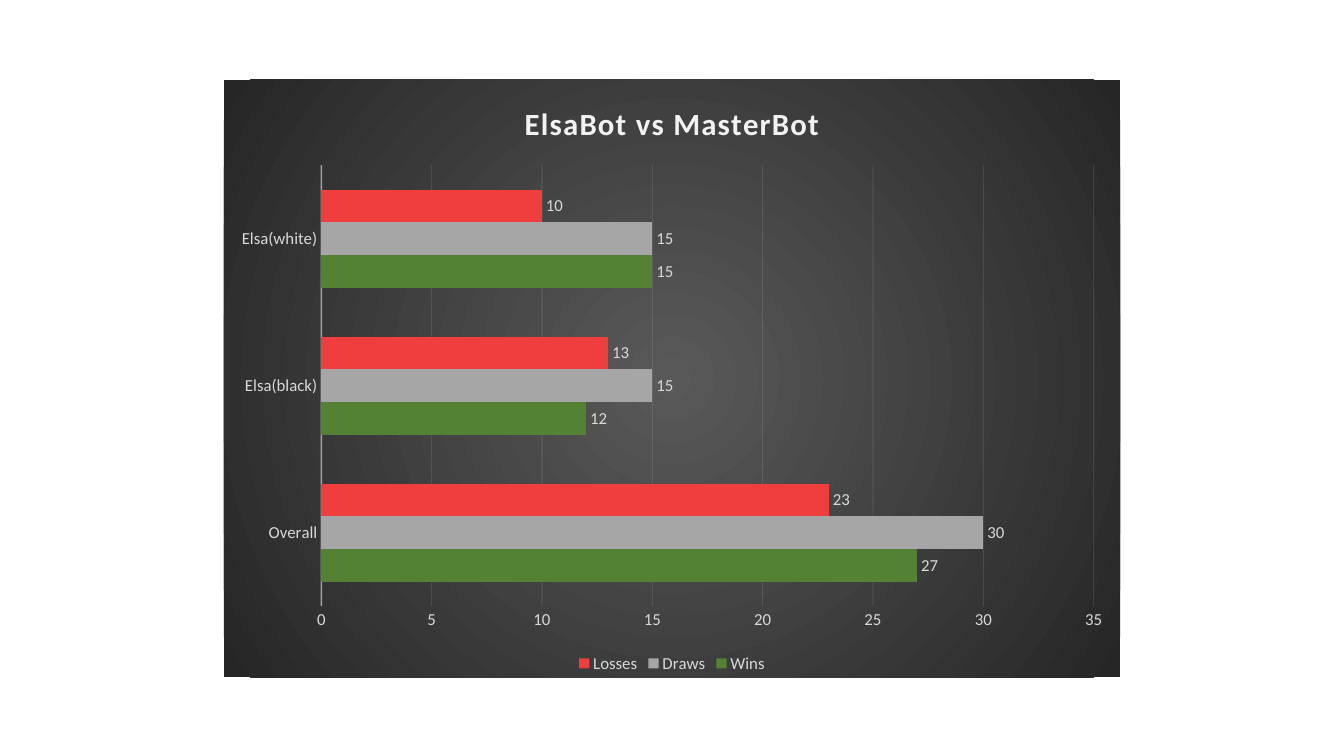
import pptx
import pptx.chart.data
import pptx.dml.color
import pptx.enum.chart
import pptx.oxml
import pptx.oxml.ns
import pptx.util
from lxml import etree

RGBColor = pptx.dml.color.RGBColor
Inches = pptx.util.Inches
Pt = pptx.util.Pt

LIGHT = RGBColor(0xF2, 0xF2, 0xF2)
LABEL = RGBColor(0xD9, 0xD9, 0xD9)
CENTER = RGBColor(0x59, 0x59, 0x59)
EDGE = RGBColor(0x26, 0x26, 0x26)
GREEN = RGBColor(0x54, 0x82, 0x35)
GRAY = RGBColor(0xA6, 0xA6, 0xA6)
RED = RGBColor(0xF0, 0x3E, 0x3E)

CATEGORIES = ["Overall", "Elsa(black)", "Elsa(white)"]
RESULTS = [
    ("Wins", [27, 12, 15], GREEN),
    ("Draws", [30, 15, 15], GRAY),
    ("Losses", [23, 13, 10], RED),
]


class ChartSlide:
    """Build a slide with a dark results chart in one consistent style."""

    TEXT = {"name": "Calibri", "size": Pt(12), "bold": False}
    TITLE = {"name": "Calibri", "size": Pt(22), "bold": True}

    def __init__(self, prs):
        self.slide = prs.slides.add_slide(prs.slide_layouts[6])

    def font(self, font, values, color):
        for key, value in values.items():
            setattr(font, key, value)
        font.color.rgb = color

    def line(self, owner, color, width, opacity):
        line = owner.format.line
        line.color.rgb = color
        line.width = Pt(width)
        clr = line.fill._xPr.find(".//" + pptx.oxml.ns.qn("a:srgbClr"))
        etree.SubElement(clr, pptx.oxml.ns.qn("a:alpha"), val=str(opacity * 1000))

    def background(self, chart, inner, outer):
        ns = pptx.oxml.ns.nsdecls("c", "a")
        sp_pr = pptx.oxml.parse_xml(
            f'<c:spPr {ns}><a:gradFill><a:gsLst>'
            f'<a:gs pos="0"><a:srgbClr val="{inner}"/></a:gs>'
            f'<a:gs pos="100000"><a:srgbClr val="{outer}"/></a:gs></a:gsLst>'
            '<a:path path="circle">'
            '<a:fillToRect l="50000" t="50000" r="50000" b="50000"/></a:path>'
            '</a:gradFill><a:ln><a:noFill/></a:ln></c:spPr>')
        chart._chartSpace.find(pptx.oxml.ns.qn("c:chart")).addnext(sp_pr)

    def title(self, chart, text):
        chart.has_title = True
        tf = chart.chart_title.text_frame
        r = tf.paragraphs[0].add_run()
        r.text = text
        self.font(r.font, self.TITLE, LIGHT)
        r.font._element.set("spc", "100")
        chart.chart_title.include_in_layout = False

    def axes(self, chart):
        cat, val = chart.category_axis, chart.value_axis
        for axis in (cat, val):
            axis.major_tick_mark = pptx.enum.chart.XL_TICK_MARK.NONE
            axis.minor_tick_mark = pptx.enum.chart.XL_TICK_MARK.NONE
            self.font(axis.tick_labels.font, self.TEXT, LABEL)
        cat.has_major_gridlines = False
        self.line(cat, LIGHT, 1, 54)
        val.format.line.fill.background()
        val.has_major_gridlines = True
        self.line(val.major_gridlines, LIGHT, 0.75, 10)

    def legend(self, chart):
        chart.has_legend = True
        legend = chart.legend
        legend.position = pptx.enum.chart.XL_LEGEND_POSITION.BOTTOM
        legend.include_in_layout = False
        self.font(legend.font, self.TEXT, LABEL)

    def bar_chart(self, title, categories, results, left, top, width, height):
        data = pptx.chart.data.CategoryChartData()
        data.categories = categories
        for name, values, _ in results:
            data.add_series(name, values)
        chart = self.slide.shapes.add_chart(
            pptx.enum.chart.XL_CHART_TYPE.BAR_CLUSTERED, Inches(left), Inches(top),
            Inches(width), Inches(height), data).chart
        self.font(chart.font, self.TEXT, LABEL)
        self.background(chart, CENTER, EDGE)
        self.title(chart, title)
        self.axes(chart)
        self.legend(chart)
        plot = chart.plots[0]
        plot.gap_width = 150
        plot.vary_by_categories = False
        for series, (_, _, color) in zip(plot.series, results):
            series.format.fill.solid()
            series.format.fill.fore_color.rgb = color
            labels = series.data_labels
            labels.show_value = True
            labels.position = pptx.enum.chart.XL_LABEL_POSITION.OUTSIDE_END
            self.font(labels.font, self.TEXT, LABEL)


def main():
    prs = pptx.Presentation()
    prs.slide_width = Inches(13.33)
    prs.slide_height = Inches(7.5)
    page = ChartSlide(prs)
    page.bar_chart("ElsaBot vs MasterBot", CATEGORIES, RESULTS, 2.22, 0.79, 8.89, 5.93)
    prs.save("out.pptx")


if __name__ == "__main__":
    main()
